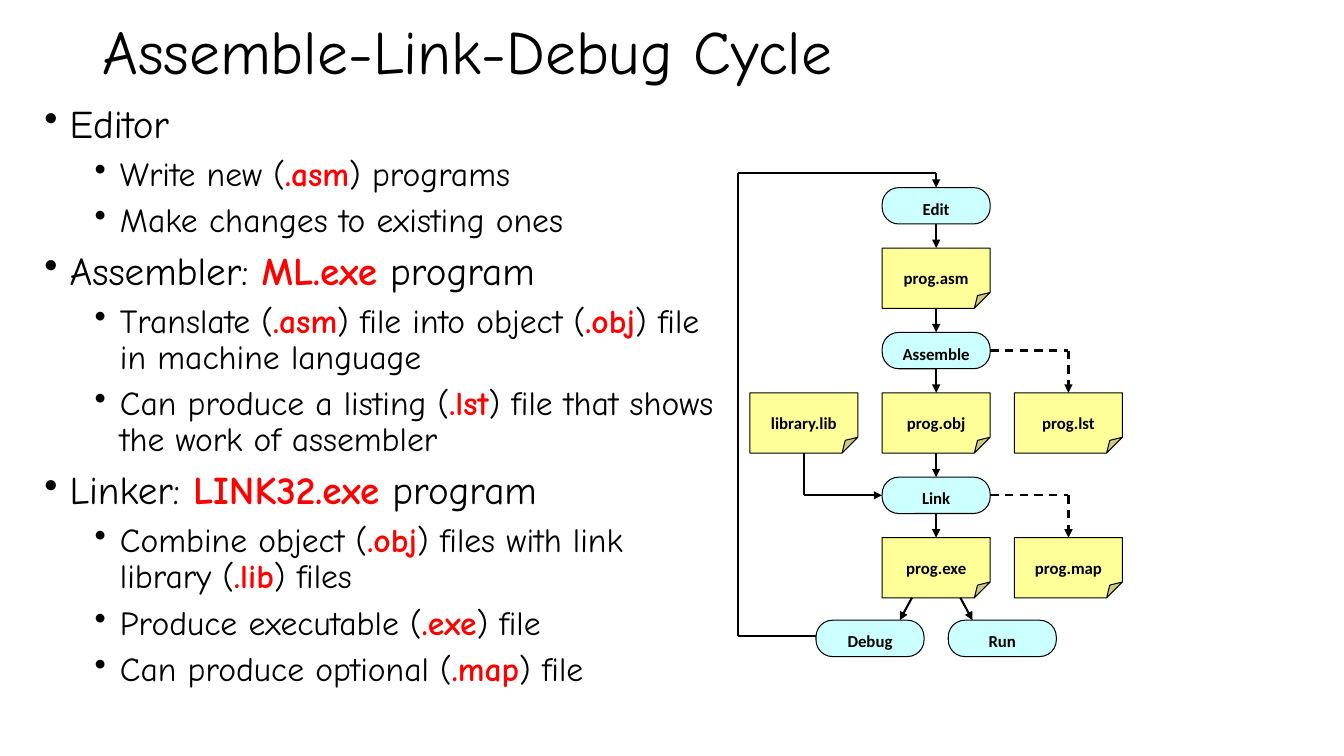
"""Build the Assemble-Link-Debug Cycle slide."""
from lxml.etree import SubElement
from pptx import Presentation
from pptx.dml.color import RGBColor
from pptx.enum.dml import MSO_LINE
from pptx.enum.shapes import MSO_CONNECTOR, MSO_SHAPE
from pptx.enum.text import MSO_ANCHOR, PP_ALIGN
from pptx.oxml.ns import qn
from pptx.util import Pt

BLACK = RGBColor(0x00, 0x00, 0x00)
RED = RGBColor(0xFF, 0x00, 0x00)
CYAN = RGBColor(0xCC, 0xFF, 0xFF)
YELLOW = RGBColor(0xFF, 0xFF, 0x99)

TITLE_FONT = {"name": "Comic Neue", "size": Pt(44)}
LEVEL_SIZE = [28, 24]
LEVEL_INDENT = [18, 54]
NODE_FONT = {"name": "Calibri", "size": Pt(12), "bold": True}
BODY_FRAME = {"word_wrap": True, "margin_left": 0, "margin_right": 0}

BULLETS = [
    (0, "Editor"),
    (1, "Write new (*.asm*) programs"),
    (1, "Make changes to existing ones"),
    (0, "Assembler: *ML.exe* program"),
    (1, "Translate (*.asm*) file into object (*.obj*) file in machine language"),
    (1, "Can produce a listing (*.lst*) file that shows the work of assembler"),
    (0, "Linker: *LINK32.exe* program"),
    (1, "Combine object (*.obj*) files with link library (*.lib*) files"),
    (1, "Produce executable (*.exe*) file"),
    (1, "Can produce optional (*.map*) file"),
]

NODE_WIDTH, STEP_HEIGHT, FILE_HEIGHT, GAP = 77.2, 26, 43, 17.2
COLUMN_PITCH = 94.5
LIBRARY_X, MAIN_X, OUTPUT_X = (574.2 + COLUMN_PITCH * i for i in range(3))
STAGE_PITCH = STEP_HEIGHT + FILE_HEIGHT + 2 * GAP
EDIT_Y, ASSEMBLE_Y, LINK_Y = (134 + STAGE_PITCH * i for i in range(3))
FILE_OFFSET = STEP_HEIGHT + GAP
FILES_END = LINK_Y + FILE_OFFSET + FILE_HEIGHT
FINISH_Y = FILES_END + 16
DEBUG_X, RUN_X = MAIN_X - COLUMN_PITCH / 2, MAIN_X + COLUMN_PITCH / 2
LOOP_X, LOOP_TOP = 527, 123.4
LOOP_BOTTOM = FINISH_Y + 11

STEP = {"outline": MSO_SHAPE.ROUNDED_RECTANGLE, "adjust": 45700,
        "height": STEP_HEIGHT, "fill": CYAN, "margin_top": 4}
FILE = {"outline": MSO_SHAPE.FOLDED_CORNER, "adjust": 26300,
        "height": FILE_HEIGHT, "fill": YELLOW, "margin_top": 11}


def apply_format(target, values):
    for attribute, value in values.items():
        setattr(target, attribute, value)


def connect(start, end, arrow=False, dashed=False):
    connector = slide.shapes.add_connector(
        MSO_CONNECTOR.STRAIGHT, *(Pt(value) for value in (*start, *end)))
    connector.line.color.rgb = BLACK
    connector.line.width = Pt(1.5)
    if dashed:
        connector.line.dash_style = MSO_LINE.DASH
    if arrow:
        SubElement(connector.line._get_or_add_ln(), qn("a:tailEnd"), type="triangle")
    SubElement(connector._element.spPr, qn("a:effectLst"))


deck = Presentation()
deck.slide_width, deck.slide_height = Pt(960), Pt(540)
slide = deck.slides.add_slide(deck.slide_layouts[6])

title = slide.shapes.add_textbox(Pt(66), Pt(6.5), Pt(828), Pt(65)).text_frame
apply_format(title, {"word_wrap": True, "vertical_anchor": MSO_ANCHOR.MIDDLE})
title.paragraphs[0].line_spacing = 0.9
heading = title.paragraphs[0].add_run()
heading.text = "Assemble-Link-Debug Cycle"
apply_format(heading.font, TITLE_FONT)
heading.font.color.rgb = BLACK

body = slide.shapes.add_textbox(Pt(31.7), Pt(71.3), Pt(484.6), Pt(438.5)).text_frame
apply_format(body, BODY_FRAME)
for index, (level, wording) in enumerate(BULLETS):
    point = body.add_paragraph() if index else body.paragraphs[0]
    size = LEVEL_SIZE[level]
    apply_format(point, {"level": level, "line_spacing": 0.9,
                         "space_before": Pt(size * 0.3)})
    properties = point._p.get_or_add_pPr()
    properties.set("marL", str(Pt(LEVEL_INDENT[level])))
    properties.set("indent", str(Pt(-18)))
    SubElement(properties, qn("a:buChar"), char="•")
    for part, words in enumerate(wording.split("*")):
        emphasized = part % 2 == 1
        run = point.add_run()
        run.text = words
        apply_format(run.font, {"name": "Comic Neue", "size": Pt(size),
                                "bold": emphasized})
        run.font.color.rgb = RED if emphasized else BLACK

NODES = [
    ("Edit", STEP, MAIN_X, EDIT_Y),
    ("prog.asm", FILE, MAIN_X, EDIT_Y + FILE_OFFSET),
    ("Assemble", STEP, MAIN_X, ASSEMBLE_Y),
    ("library.lib", FILE, LIBRARY_X, ASSEMBLE_Y + FILE_OFFSET),
    ("prog.obj", FILE, MAIN_X, ASSEMBLE_Y + FILE_OFFSET),
    ("prog.lst", FILE, OUTPUT_X, ASSEMBLE_Y + FILE_OFFSET),
    ("Link", STEP, MAIN_X, LINK_Y),
    ("prog.exe", FILE, MAIN_X, LINK_Y + FILE_OFFSET),
    ("prog.map", FILE, OUTPUT_X, LINK_Y + FILE_OFFSET),
    ("Debug", STEP, DEBUG_X, FINISH_Y),
    ("Run", STEP, RUN_X, FINISH_Y),
]
for label, kind, center, top in NODES:
    node = slide.shapes.add_shape(
        kind["outline"], Pt(center - NODE_WIDTH / 2), Pt(top),
        Pt(NODE_WIDTH), Pt(kind["height"]))
    node.shadow.inherit = False
    corner = node._element.spPr.find(qn("a:prstGeom")).find(qn("a:avLst"))
    for guide in list(corner):
        corner.remove(guide)
    SubElement(corner, qn("a:gd"), name="adj", fmla=f"val {kind['adjust']}")
    node.fill.solid()
    node.fill.fore_color.rgb = kind["fill"]
    node.line.color.rgb = BLACK
    node.line.width = Pt(0.75)
    apply_format(node.text_frame, {
        "margin_left": 0, "margin_right": 0, "margin_bottom": 0,
        "margin_top": Pt(kind["margin_top"]), "word_wrap": True,
        "vertical_anchor": MSO_ANCHOR.MIDDLE})
    caption = node.text_frame.paragraphs[0]
    caption.alignment = PP_ALIGN.CENTER
    name = caption.add_run()
    name.text = label
    apply_format(name.font, NODE_FONT)
    name.font.color.rgb = BLACK

for stage_y in (EDIT_Y, ASSEMBLE_Y, LINK_Y):
    file_y = stage_y + FILE_OFFSET
    connect((MAIN_X, file_y - GAP), (MAIN_X, file_y), arrow=True)
    if stage_y != LINK_Y:
        file_end = file_y + FILE_HEIGHT
        connect((MAIN_X, file_end), (MAIN_X, file_end + GAP), arrow=True)
    if stage_y != EDIT_Y:
        middle = stage_y + STEP_HEIGHT / 2
        connect((MAIN_X + NODE_WIDTH / 2, middle), (OUTPUT_X, middle), dashed=True)
        connect((OUTPUT_X, middle), (OUTPUT_X, file_y), arrow=True, dashed=True)

link_middle = LINK_Y + STEP_HEIGHT / 2
connect((LIBRARY_X, ASSEMBLE_Y + FILE_OFFSET + FILE_HEIGHT), (LIBRARY_X, link_middle))
connect((LIBRARY_X, link_middle), (MAIN_X - NODE_WIDTH / 2, link_middle), arrow=True)

for side in (-1, 1):
    connect((MAIN_X + side * 17.3, FILES_END),
            (MAIN_X + side * 26, FINISH_Y), arrow=True)

connect((DEBUG_X - NODE_WIDTH / 2, LOOP_BOTTOM), (LOOP_X, LOOP_BOTTOM))
connect((LOOP_X, LOOP_BOTTOM), (LOOP_X, LOOP_TOP))
connect((LOOP_X, LOOP_TOP), (MAIN_X, LOOP_TOP))
connect((MAIN_X, LOOP_TOP), (MAIN_X, EDIT_Y), arrow=True)

deck.save("out.pptx")
